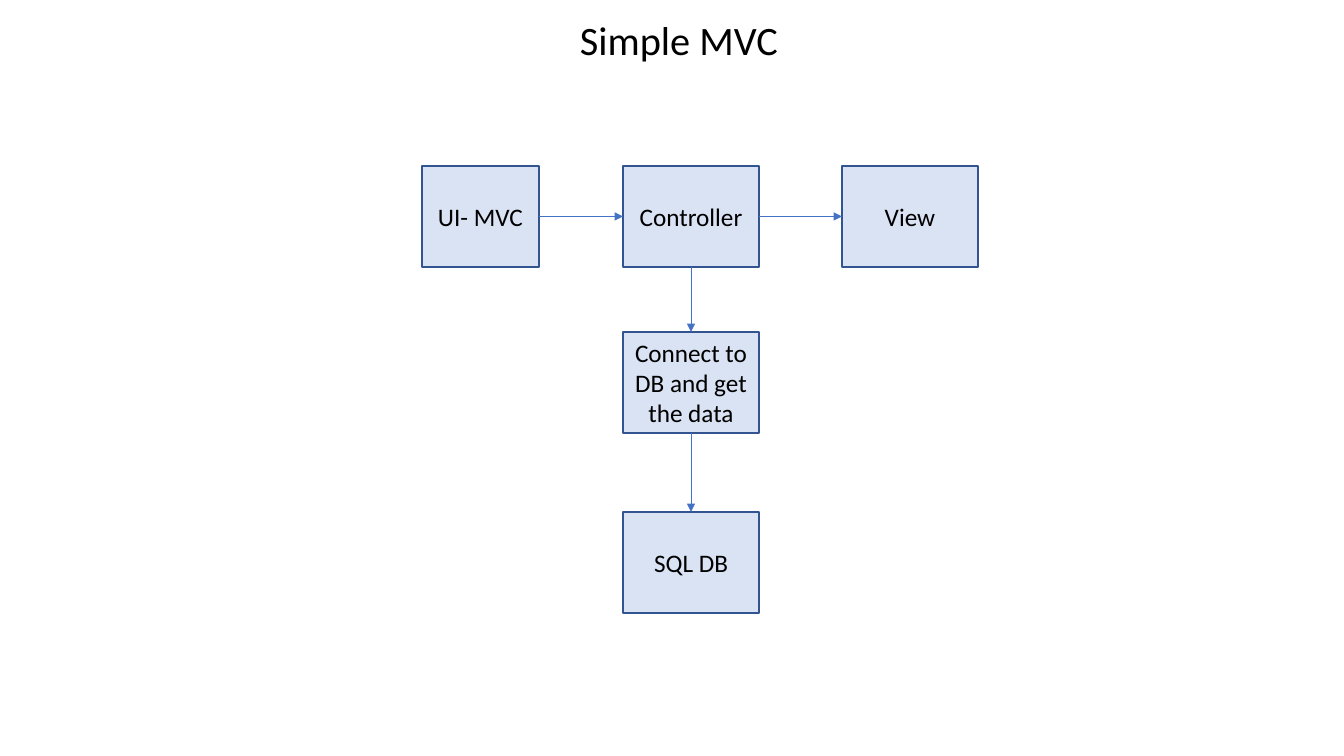
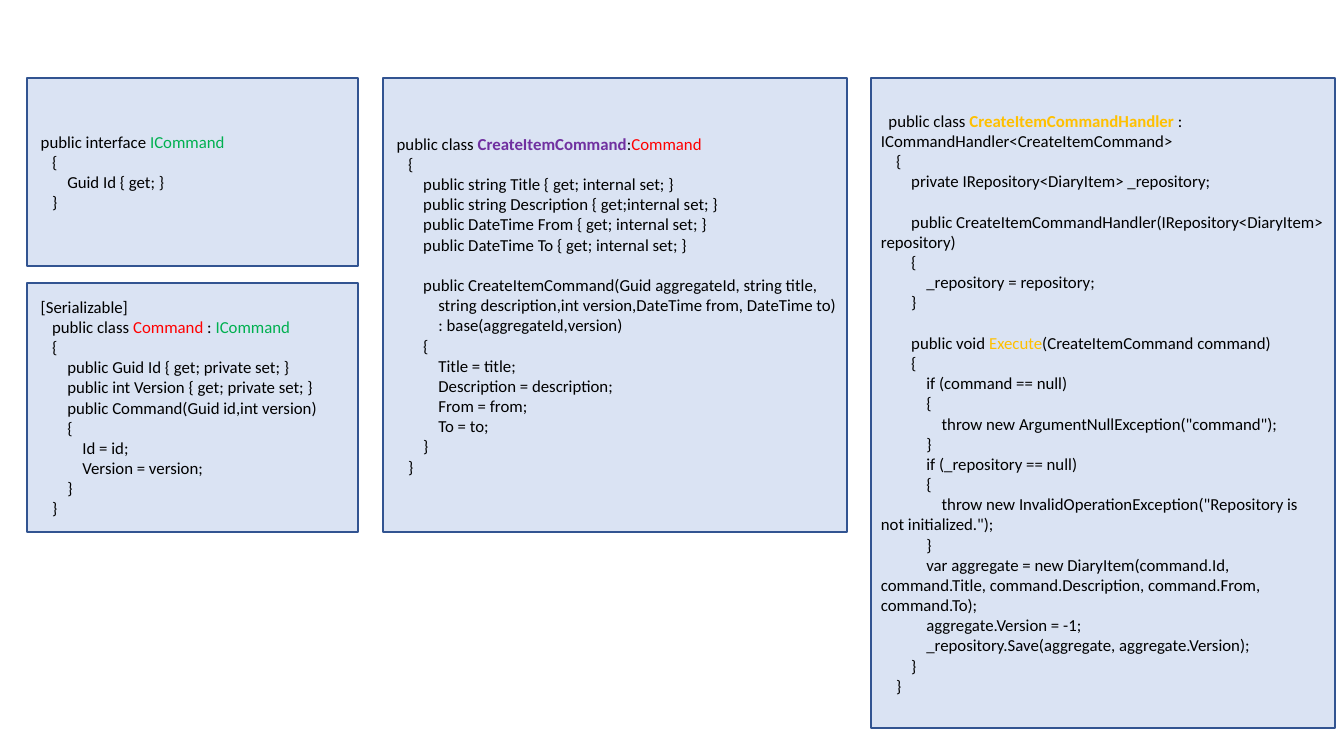
import pptx
import pptx.util
import pptx.dml.color
import pptx.enum.shapes
import pptx.enum.text
import pptx.oxml
import pptx.oxml.ns

# Shared look
PIXEL = 914400 / 100.8
FONT = "Calibri"
BLACK, WHITE = "000000", "FFFFFF"
BOX_FILL, BOX_LINE, ARROW_LINE = "DAE3F3", "325491", "4472C4"
GREEN, RED, PURPLE, GOLD = "00B050", "FF0000", "7030A0", "FFC000"
TITLE_SIZE, LABEL_SIZE, CODE_SIZE = 28.8, 18, 12
SPACE_WIDTH = 2.71  # points, one space of code
CODE_LINE = 14.6    # points, one skipped line of code

# Flow slide: name -> (label, left, top, width)
TITLE = ("Simple MVC", (40, 22, 1278, 47))
STEP_HEIGHT = 101
STEPS = {
    "ui": ("UI- MVC", 422, 166, 117),
    "controller": ("Controller", 623, 166, 136),
    "view": ("View", 842, 166, 136),
    "connect": ("Connect to DB and get the data", 623, 332, 136),
    "database": ("SQL DB", 623, 512, 136),
}
TOP, LEFT, BOTTOM, RIGHT = range(4)
ARROWS = [
    ("ui", RIGHT, "controller", LEFT),
    ("controller", RIGHT, "view", LEFT),
    ("controller", BOTTOM, "connect", TOP),
    ("connect", BOTTOM, "database", TOP),
]

# Code slide: each line is (indent in spaces, span, span, ...); a span is
# plain text or (text, colour, bold); None skips a line
INTERFACE_CODE = [
    (1, "public interface ", ("ICommand", GREEN, False)),
    (4, "{"),
    (8, "Guid Id { get; }"),
    (4, "}"),
]
COMMAND_CODE = [
    (1, "[Serializable]"),
    (4, "public class ", ("Command", RED, False), " : ", ("ICommand", GREEN, False)),
    (4, "{"),
    (8, "public Guid Id { get; private set; }"),
    (8, "public int Version { get; private set; }"),
    (8, "public Command(Guid id,int version)"),
    (8, "{"),
    (12, "Id = id;"),
    (12, "Version = version;"),
    (8, "}"),
    (4, "}"),
]
CREATE_CODE = [
    (1, "public class ", ("CreateItemCommand", PURPLE, True), ":", ("Command", RED, False)),
    (4, "{"),
    (8, "public string Title { get; internal set; }"),
    (8, "public string Description { get;internal set; }"),
    (8, "public DateTime From { get; internal set; }"),
    (8, "public DateTime To { get; internal set; }"),
    None,
    (8, "public CreateItemCommand(Guid aggregateId, string title,"),
    (12, "string description,int version,DateTime from, DateTime to)"),
    (12, ": base(aggregateId,version)"),
    (8, "{"),
    (12, "Title = title;"),
    (12, "Description = description;"),
    (12, "From = from;"),
    (12, "To = to;"),
    (8, "}"),
    (4, "}"),
]
HANDLER_CODE = [
    (2, "public class ", ("CreateItemCommandHandler", GOLD, True),
     " : ICommandHandler<CreateItemCommand>"),
    (4, "{"),
    (8, "private IRepository<DiaryItem> _repository;"),
    None,
    (8, "public CreateItemCommandHandler(IRepository<DiaryItem> repository)"),
    (8, "{"),
    (12, "_repository = repository;"),
    (8, "}"),
    None,
    (8, "public void ", ("Execute", GOLD, False), "(CreateItemCommand command)"),
    (8, "{"),
    (12, "if (command == null)"),
    (12, "{"),
    (16, 'throw new ArgumentNullException("command");'),
    (12, "}"),
    (12, "if (_repository == null)"),
    (12, "{"),
    (16, 'throw new InvalidOperationException("Repository is not initialized.");'),
    (12, "}"),
    (12, "var aggregate = new DiaryItem(command.Id, command.Title, "
         "command.Description, command.From, command.To);"),
    (12, "aggregate.Version = -1;"),
    (12, "_repository.Save(aggregate, aggregate.Version);"),
    (8, "}"),
    (4, "}"),
]
PANELS = [
    ((27, 78, 331, 188), INTERFACE_CODE),
    ((27, 283, 331, 249), COMMAND_CODE),
    ((383, 78, 464, 454), CREATE_CODE),
    ((871, 78, 464, 650), HANDLER_CODE),
]

ALIGN = pptx.enum.text.PP_ALIGN
ANCHOR = pptx.enum.text.MSO_ANCHOR


def colour(value):
    return pptx.dml.color.RGBColor.from_string(value)


def place(bounds):
    return [round(length * PIXEL) for length in bounds]


def apply(target, formats):
    for name, value in formats.items():
        setattr(target, name, value)


def add_span(para, text, size, shade=BLACK, bold=False):
    span = para.add_run()
    span.text = text
    apply(span.font, {"name": FONT, "size": pptx.util.Pt(size), "bold": bold})
    span.font.color.rgb = colour(shade)


def add_slide():
    slide = deck.slides.add_slide(deck.slide_layouts[6])
    slide.background.fill.solid()
    slide.background.fill.fore_color.rgb = colour(WHITE)
    return slide


def add_box(slide, bounds):
    box = slide.shapes.add_shape(
        pptx.enum.shapes.MSO_SHAPE.RECTANGLE, *place(bounds))
    box.shadow.inherit = False
    box.fill.solid()
    box.fill.fore_color.rgb = colour(BOX_FILL)
    box.line.color.rgb = colour(BOX_LINE)
    box.line.width = pptx.util.Pt(1)
    apply(box.text_frame, {"word_wrap": True, "vertical_anchor": ANCHOR.MIDDLE})
    return box


def add_title(slide, text, bounds):
    frame = slide.shapes.add_textbox(*place(bounds)).text_frame
    apply(frame, {"word_wrap": True, "vertical_anchor": ANCHOR.BOTTOM})
    para = frame.paragraphs[0]
    apply(para, {"alignment": ALIGN.CENTER, "line_spacing": 0.9})
    add_span(para, text, TITLE_SIZE)


def add_step(slide, label, left, top, width):
    box = add_box(slide, (left, top, width, STEP_HEIGHT))
    para = box.text_frame.paragraphs[0]
    para.alignment = ALIGN.CENTER
    add_span(para, label, LABEL_SIZE)
    return box


def add_arrow(slide, start, start_side, end, end_side):
    arrow = slide.shapes.add_connector(
        pptx.enum.shapes.MSO_CONNECTOR.STRAIGHT, 0, 0, 0, 0)
    arrow.begin_connect(start, start_side)
    arrow.end_connect(end, end_side)
    arrow.line.color.rgb = colour(ARROW_LINE)
    arrow.line.width = pptx.util.Pt(0.5)
    head = pptx.oxml.parse_xml(
        "<a:tailEnd %s type='triangle'/>" % pptx.oxml.ns.nsdecls("a"))
    arrow.line._get_or_add_ln().append(head)
    effects = pptx.oxml.parse_xml(
        "<a:effectLst %s/>" % pptx.oxml.ns.nsdecls("a"))
    arrow._element.spPr.append(effects)


def add_code(slide, bounds, lines):
    frame = add_box(slide, bounds).text_frame
    para, skipped = frame.paragraphs[0], 0
    for line in lines:
        if line is None:
            skipped = CODE_LINE
            continue
        if para.runs:
            para = frame.add_paragraph()
        indent, *spans = line
        apply(para, {"alignment": ALIGN.LEFT,
                     "space_before": pptx.util.Pt(skipped)})
        # First-line indent, so wrapped code returns to the margin
        para._p.get_or_add_pPr().set(
            "indent", str(pptx.util.Pt(indent * SPACE_WIDTH)))
        for span in spans:
            text, *style = (span,) if isinstance(span, str) else span
            add_span(para, text, CODE_SIZE, *style)
        skipped = 0


deck = pptx.Presentation()
deck.slide_width, deck.slide_height = place((1344, 756))

# Flow from interface to database
flow = add_slide()
add_title(flow, *TITLE)
boxes = {name: add_step(flow, *step) for name, step in STEPS.items()}
for start, start_side, end, end_side in ARROWS:
    add_arrow(flow, boxes[start], start_side, boxes[end], end_side)

# Command classes
classes = add_slide()
for bounds, lines in PANELS:
    add_code(classes, bounds, lines)

deck.save("out.pptx")
